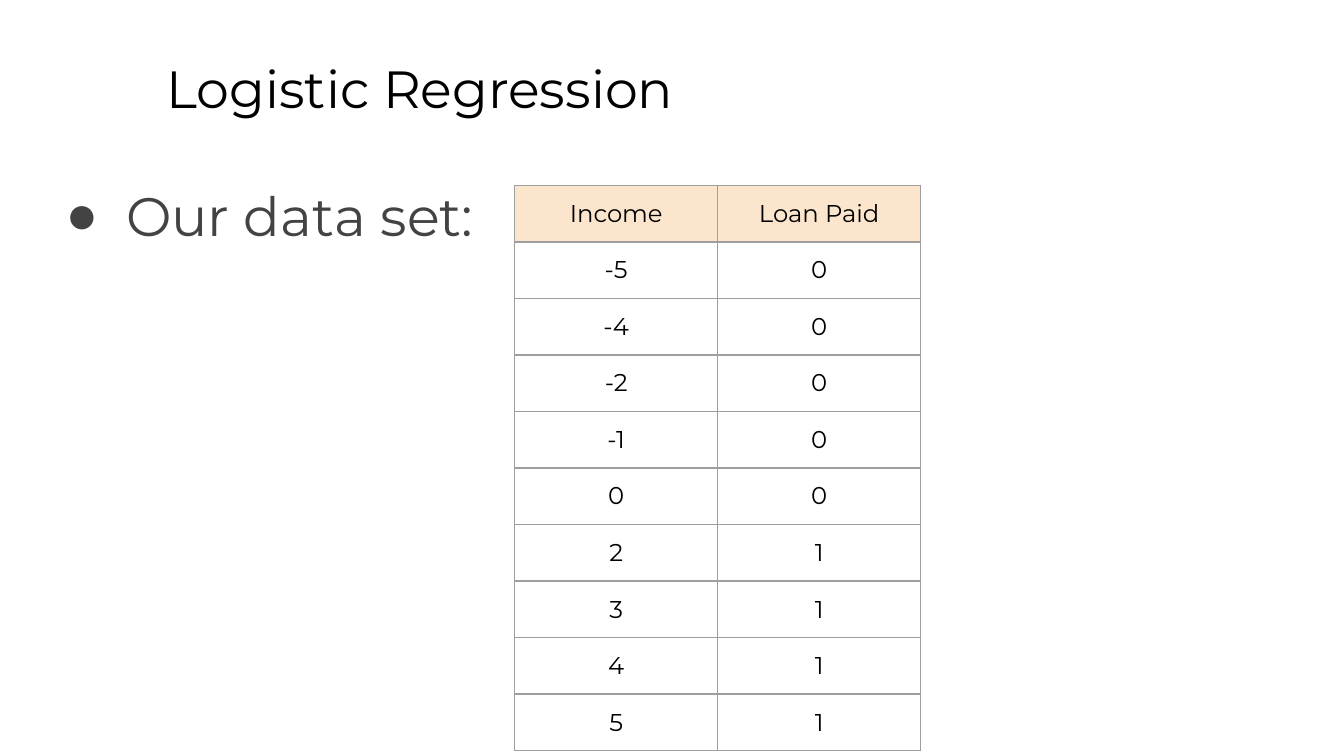
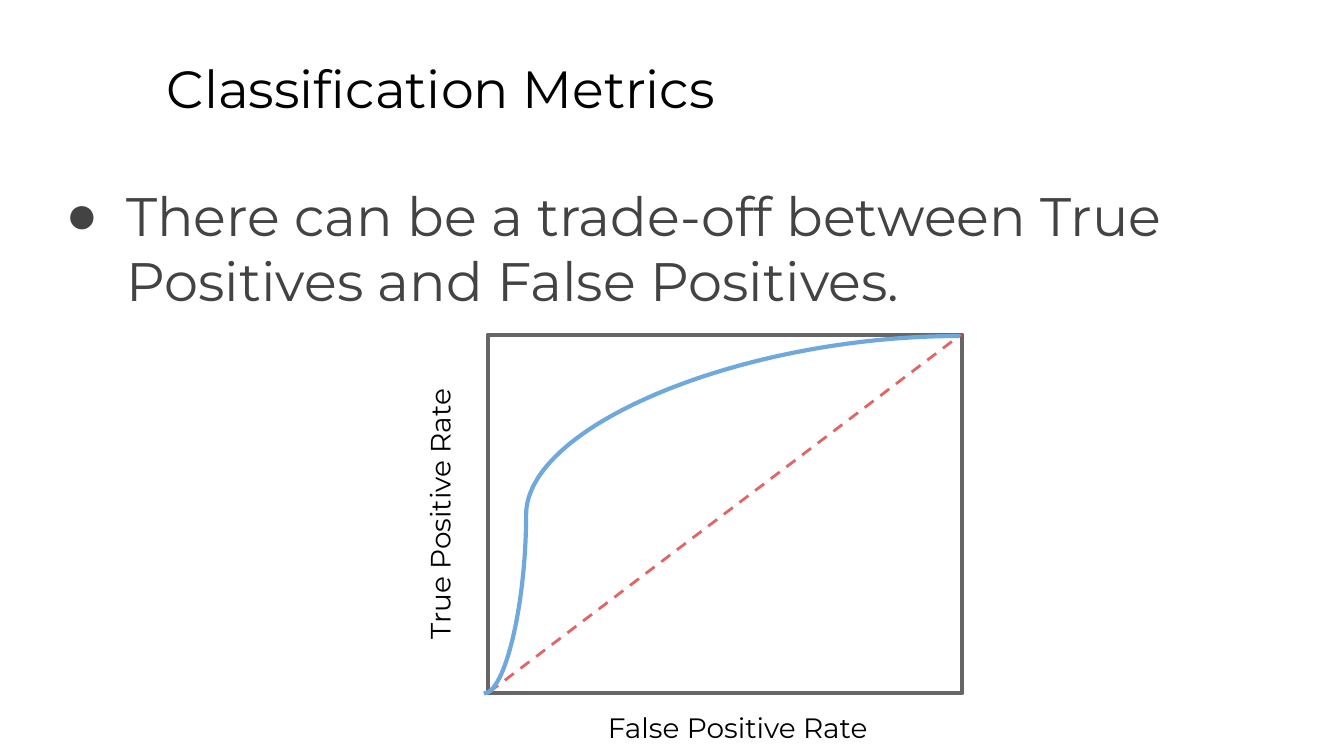
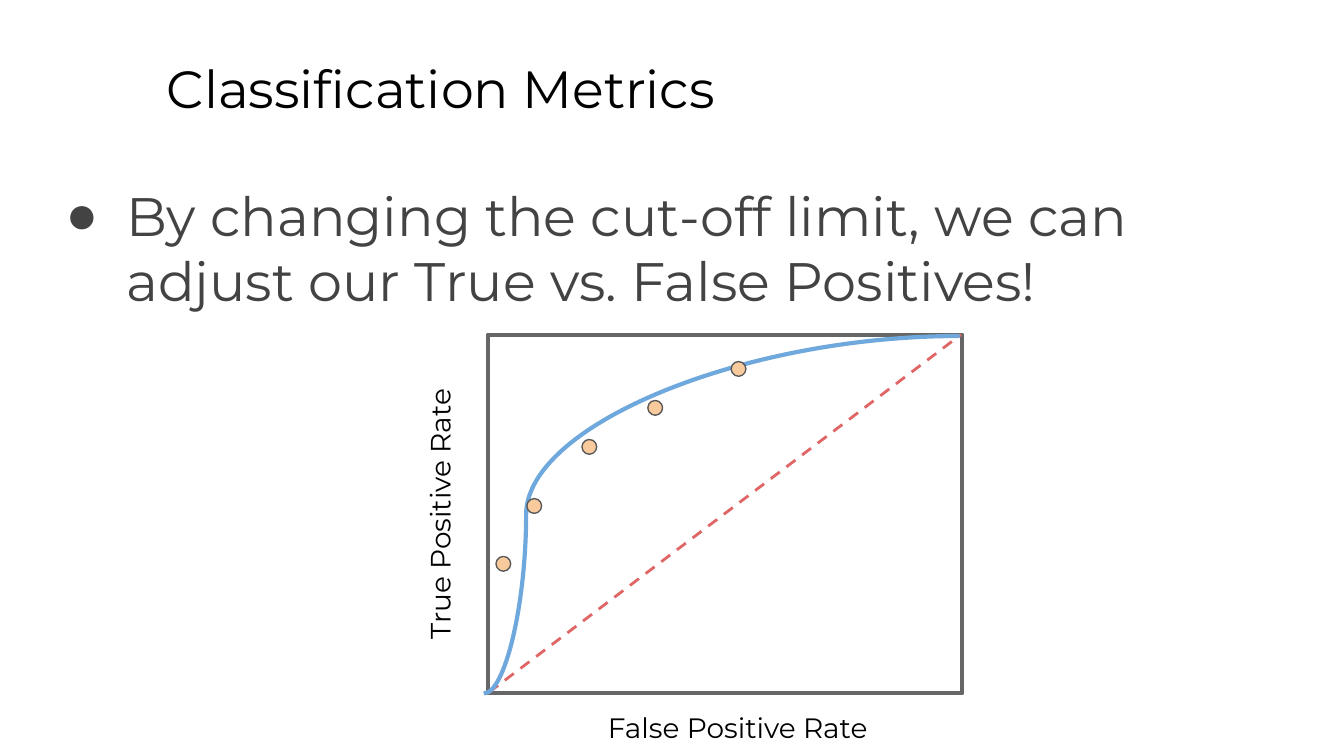
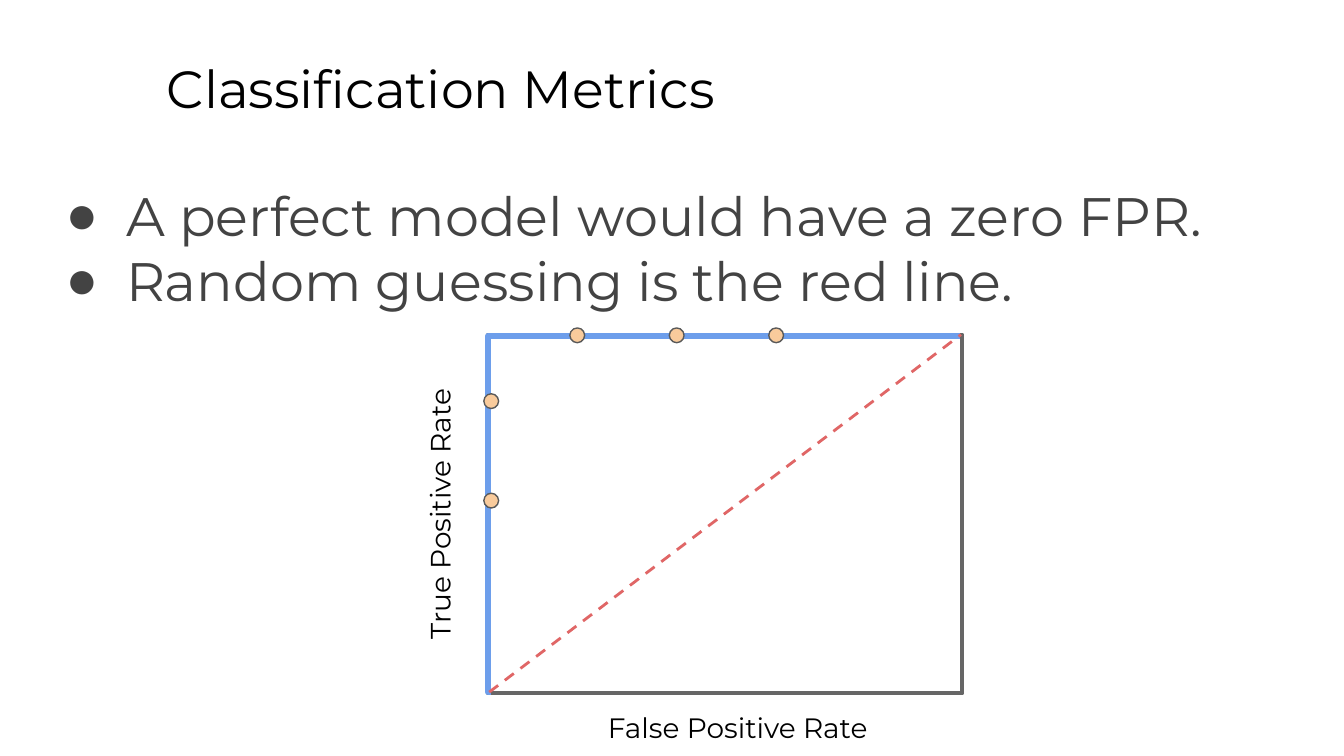
from lxml import etree
from pptx import Presentation
from pptx import util as u
from pptx.dml.color import RGBColor
from pptx.enum import dml, shapes, text
from pptx.oxml.ns import qn

FONT = "Montserrat"
HUES = {
    "ink": "000000", "body": "434343", "head": "FCE5CD", "grid": "9E9E9E",
    "frame": "666666", "guess": "E06666", "curve": "6FA8DC",
    "ideal": "6D9EEB", "dot": "F9CB9C", "rim": "595959",
}
INSET = {f"margin_{side}": u.Inches(0.1)
         for side in ("left", "top", "right", "bottom")}
WIDE = u.Inches(10)
FRAME = (3.63, 2.49, 3.53, 2.67)
DOT = 0.11

LOANS = [("Income", "Loan Paid"),
         *((str(n), "0" if n < 1 else "1")
           for n in (-5, -4, -2, -1, 0, 2, 3, 4, 5))]
MIDDLE = [(3.69, 4.14), (3.92, 3.71), (4.33, 3.27), (4.82, 2.98), (5.44, 2.69)]
EDGE = [(3.6, 3.67), (3.6, 2.93), *((4.24 + 0.74 * i, 2.44) for i in range(3))]


def put(item, **values):
    for name, value in values.items():
        setattr(item, name, value)


def rgb(hue):
    return RGBColor.from_string(HUES[hue])


def inches(*sizes):
    return [u.Inches(size) for size in sizes]


def node(parent, tag, **attrs):
    return etree.SubElement(parent, qn(tag), attrs)


def style(para, size, hue="ink", align=text.PP_ALIGN.LEFT):
    para.alignment = align
    put(para.font, name=FONT, size=u.Pt(size))
    para.font.color.rgb = rgb(hue)


def stroke(line, hue, width, dash=None):
    line.color.rgb = rgb(hue)
    put(line, width=u.Pt(width), dash_style=dash)


def write(slide, box, lines, size, bullet=False, turn=0, **look):
    shape = slide.shapes.add_textbox(*inches(*box))
    shape.rotation = turn
    frame = shape.text_frame
    put(frame, word_wrap=True, auto_size=text.MSO_AUTO_SIZE.NONE,
        vertical_anchor=text.MSO_ANCHOR.TOP, **INSET)
    frame.text = "\n".join(lines)
    for para in frame.paragraphs:
        if bullet:
            mark(para)
        style(para, size, **look)


def mark(para):
    """Give a paragraph its round bullet and hanging indent."""
    props = para._p.get_or_add_pPr()
    props.set("marL", str(u.Inches(0.5)))
    props.set("indent", str(u.Inches(-0.45)))
    node(node(props, "a:buClr"), "a:srgbClr", val=HUES["body"])
    node(props, "a:buFont", typeface="Arial")
    node(props, "a:buChar", char="●")


def head(slide, title, points, tall=3.74):
    write(slide, (1.14, 0.32, 8.52, 0.63), [title], 28)
    write(slide, (0.34, 1.26, 9.5, tall), points, 29, bullet=True, hue="body")


def solid(slide, kind, box, hue, width, fill=None):
    shape = slide.shapes.add_shape(kind, *inches(*box))
    shape.shadow.inherit = False
    if fill:
        shape.fill.solid()
        shape.fill.fore_color.rgb = rgb(fill)
    else:
        shape.fill.background()
    stroke(shape.line, hue, width)


def link(slide, kind, ends, hue, width, dash=None):
    line = slide.shapes.add_connector(kind, *inches(*ends))
    stroke(line.line, hue, width, dash)
    node(line._element.spPr, "a:effectLst")
    return line


def bend(slide, kind, start, end, hue, width, adj):
    """Elbow or curve leaving start sideways, turning at adj percent."""
    line = link(slide, kind, (*end, *start), hue, width)
    props = line._element.spPr
    props.find(qn("a:xfrm")).set("rot", "10800000")
    guides = props.find(qn("a:prstGeom")).find(qn("a:avLst"))
    node(guides, "a:gd", name="adj1", fmla=f"val {round(adj * 1000)}")


def border(cell):
    props = cell._tc.get_or_add_tcPr()
    for side in "LRTB":
        line = node(props, f"a:ln{side}", w=str(u.Pt(0.75)))
        node(node(line, "a:solidFill"), "a:srgbClr", val=HUES["grid"])


def grid(slide, rows, left, top, wide, high):
    cols = len(rows[0])
    table = slide.shapes.add_table(
        len(rows), cols,
        *inches(left, top, wide * cols, high * len(rows))).table
    put(table, first_row=False, horz_banding=False)
    for r, row in enumerate(rows):
        for c, word in enumerate(row):
            cell = table.cell(r, c)
            put(cell, text=word, **INSET)
            style(cell.text_frame.paragraphs[0], 13,
                  align=text.PP_ALIGN.CENTER)
            border(cell)
            if r == 0:
                cell.fill.solid()
                cell.fill.fore_color.rgb = rgb("head")
            else:
                cell.fill.background()


def frame(slide):
    solid(slide, shapes.MSO_SHAPE.RECTANGLE, FRAME, "frame", 2.25)


def axes(slide):
    """Axis names and the line of random guessing."""
    mid = text.PP_ALIGN.CENTER
    write(slide, (4.11, 5.19, 2.76, 0.37), ["False Positive Rate"], 15,
          align=mid)
    write(slide, (1.85, 3.64, 2.76, 0.37), ["True Positive Rate"], 15,
          turn=270, align=mid)
    link(slide, shapes.MSO_CONNECTOR.STRAIGHT, (3.64, 5.15, 7.15, 2.49),
         "guess", 1.5, dml.MSO_LINE.DASH)


def curve(slide):
    bend(slide, shapes.MSO_CONNECTOR.CURVE, (3.6, 5.16), (7.14, 2.5),
         "curve", 2.25, 8.9)


def dots(slide, spots):
    for spot in spots:
        solid(slide, shapes.MSO_SHAPE.OVAL, (*spot, DOT, DOT),
              "rim", 0.75, "dot")


def main():
    deck = Presentation()
    put(deck, slide_width=WIDE, slide_height=WIDE * 9 // 16)
    data, trade, limit, ideal = (
        deck.slides.add_slide(deck.slide_layouts[6]) for _ in range(4))
    metrics = "Classification Metrics"

    # Data set
    head(data, "Logistic Regression", ["Our data set:"], tall=3.19)
    grid(data, LOANS, 3.83, 1.38, 1.51, 0.42)

    # Trade-off curve, then the same with cut-off points
    for slide, point, spots in (
        (trade, "There can be a trade-off between True Positives "
                "and False Positives.", []),
        (limit, "By changing the cut-off limit, we can adjust our "
                "True vs. False Positives!", MIDDLE),
    ):
        head(slide, metrics, [point])
        frame(slide)
        axes(slide)
        curve(slide)
        dots(slide, spots)

    # Perfect model
    frame(ideal)
    bend(ideal, shapes.MSO_CONNECTOR.ELBOW, (3.65, 5.15), (7.14, 2.5),
         "ideal", 3, -0.6)
    head(ideal, metrics, ["A perfect model would have a zero FPR.",
                          "Random guessing is the red line."])
    axes(ideal)
    dots(ideal, EDGE)

    deck.save("out.pptx")


if __name__ == "__main__":
    main()
